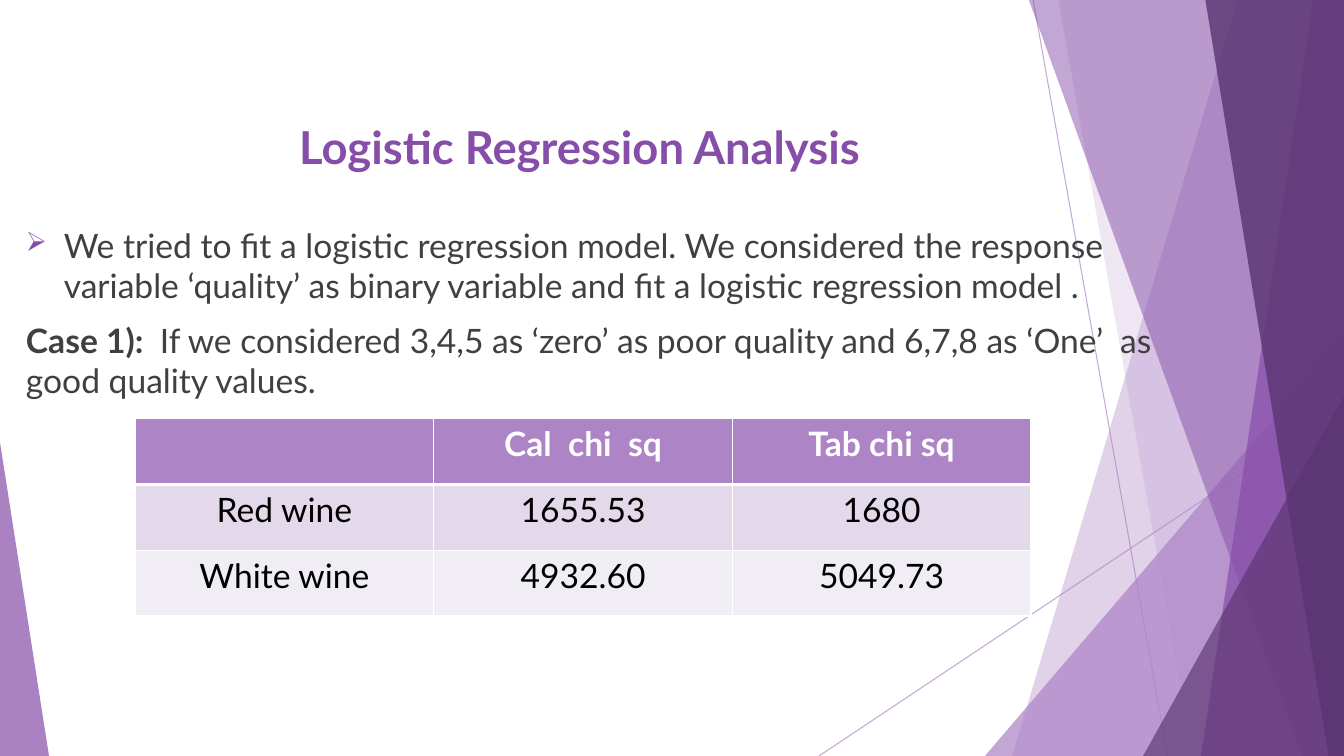
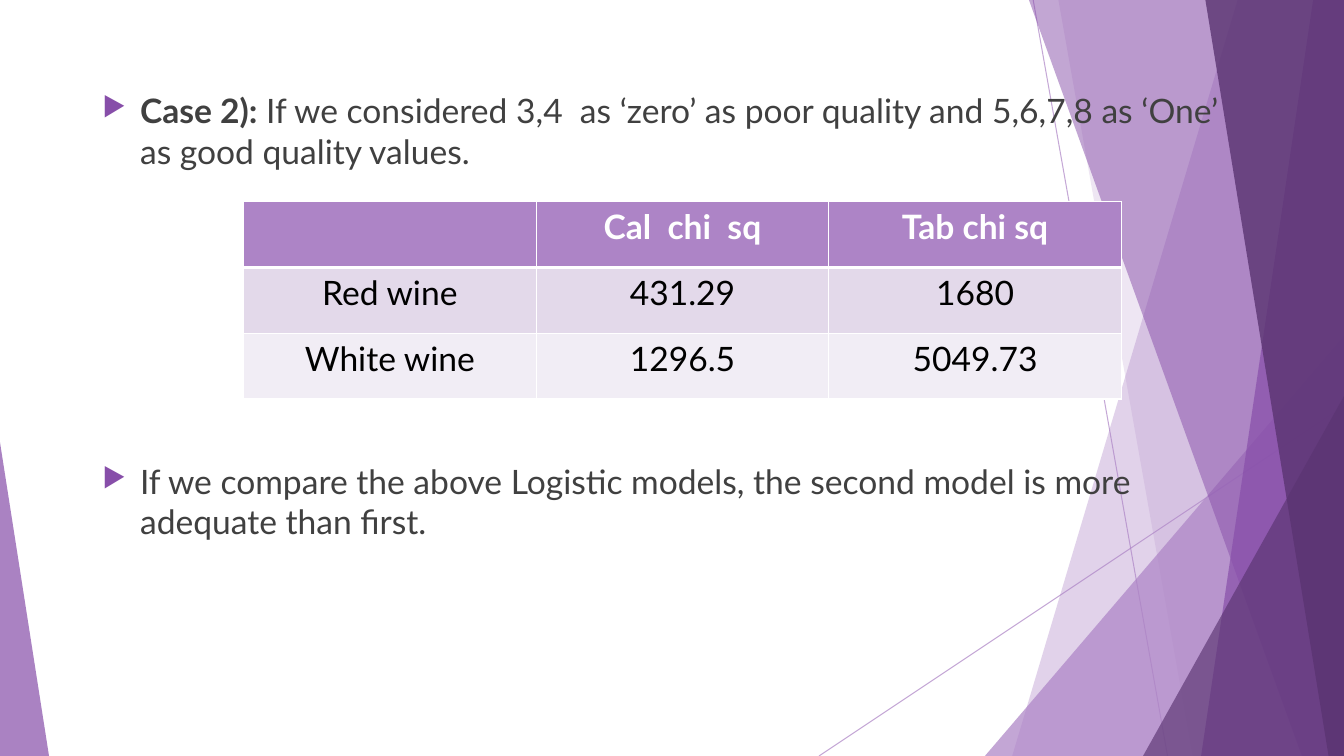
from lxml.etree import SubElement
from pptx import Presentation
from pptx.dml.color import RGBColor
from pptx.enum.shapes import MSO_CONNECTOR, MSO_SHAPE
from pptx.enum.text import PP_ALIGN
from pptx.oxml.ns import qn
from pptx.util import Pt

WIDTH, HEIGHT = 960, 540
FONT = "Lato"
BODY_SIZE = 24
ROW_HEIGHT = 47

WHITE = RGBColor(0xFF, 0xFF, 0xFF)
BLACK = RGBColor(0x00, 0x00, 0x00)
GRAY = RGBColor(0x40, 0x40, 0x40)
LILAC = RGBColor(0xAD, 0x84, 0xC6)
PURPLE = RGBColor(0x87, 0x4E, 0xA9)
PLUM = RGBColor(0x5A, 0x34, 0x71)
ROW_FILLS = (LILAC, RGBColor(0xE3, 0xD9, 0xEA), RGBColor(0xF1, 0xED, 0xF5))


def set_opacity(shape, percent):
    for color in shape._element.spPr.iter(qn("a:srgbClr")):
        SubElement(color, qn("a:alpha"), val=str(percent * 1000))


def tint(shape, color, opacity):
    """Give a decoration a translucent fill, with no outline or shadow."""
    shape.shadow.inherit = False
    shape.fill.solid()
    shape.fill.fore_color.rgb = color
    shape.line.fill.background()
    set_opacity(shape, opacity)


def add_ray(slide, x1, y1, x2, y2):
    ray = slide.shapes.add_connector(
        MSO_CONNECTOR.STRAIGHT, Pt(x1), Pt(y1), Pt(x2), Pt(y2))
    ray.line.color.rgb = LILAC
    ray.line.width = Pt(0.75)
    set_opacity(ray, 70)
    SubElement(ray._element.spPr, qn("a:effectLst"))


def add_band(slide, top_x, bottom_x, color, opacity):
    """Fill everything from a slanted edge to the right side of the slide."""
    outline = slide.shapes.build_freeform(Pt(top_x), 0)
    outline.add_line_segments([
        (Pt(WIDTH), 0), (Pt(WIDTH), Pt(HEIGHT)), (Pt(bottom_x), Pt(HEIGHT))])
    tint(outline.convert_to_shape(), color, opacity)


def add_corner(slide, left, top, width, apex, color, opacity):
    """Add a right triangle on the bottom edge; apex is 0 (left) or 1 (right)."""
    corner = slide.shapes.add_shape(
        MSO_SHAPE.ISOSCELES_TRIANGLE,
        Pt(left), Pt(top), Pt(width), Pt(HEIGHT - top))
    corner.adjustments[0] = apex
    tint(corner, color, opacity)


def add_backdrop(slide):
    add_ray(slide, 738, 0, 834, HEIGHT)
    add_ray(slide, WIDTH, 290, 585, HEIGHT)
    add_band(slide, 884, 723, LILAC, 36)
    add_band(slide, 756, 852, LILAC, 20)
    add_corner(slide, 703.5, 240, 256.5, 1, LILAC, 72)
    add_band(slide, 735, 930, PURPLE, 50)
    add_band(slide, 938, 858, PURPLE, 70)
    add_band(slide, 861, 949, PLUM, 80)
    add_corner(slide, 816.5, 283, 143.5, 1, PLUM, 66)
    add_corner(slide, 0, 316, 35, 0, PURPLE, 70)


def add_slide(deck):
    slide = deck.slides.add_slide(deck.slide_layouts[6])
    add_backdrop(slide)
    return slide


def style(paragraph, size, color, bold=False):
    paragraph.font.name = FONT
    paragraph.font.size = Pt(size)
    paragraph.font.color.rgb = color
    paragraph.font.bold = bold


def add_text_frame(slide, left, top, width, height):
    frame = slide.shapes.add_textbox(
        Pt(left), Pt(top), Pt(width), Pt(height)).text_frame
    frame.word_wrap = True
    return frame


def add_title(slide, title):
    heading = add_text_frame(slide, 0, 81.5, 828, 47).paragraphs[0]
    heading.text = title
    heading.alignment = PP_ALIGN.CENTER
    style(heading, 32.4, PURPLE, bold=True)


def add_bullet(paragraph, symbol):
    properties = paragraph._p.get_or_add_pPr()
    properties.set("marL", str(Pt(27)))
    properties.set("indent", str(Pt(-27)))
    color = SubElement(properties, qn("a:buClr"))
    SubElement(color, qn("a:srgbClr"), val=str(PURPLE))
    SubElement(properties, qn("a:buSzPct"), val="80000")
    SubElement(properties, qn("a:buChar"), char=symbol)


def write_point(paragraph, text, lead="", bullet=None, space_before=10):
    """Write one body paragraph, opening with an optional bold lead."""
    paragraph.space_before = Pt(space_before)
    if bullet:
        add_bullet(paragraph, bullet)
    style(paragraph, BODY_SIZE, GRAY)
    if lead:
        lead_run = paragraph.add_run()
        lead_run.text = lead
        lead_run.font.bold = True
    paragraph.add_run().text = text


def set_borders(cell, **widths):
    """Draw white cell borders; widths maps L, R, T and B to points."""
    properties = cell._tc.get_or_add_tcPr()
    for side in "LRTB":
        border = SubElement(properties, qn(f"a:ln{side}"),
                            w=str(Pt(widths.get(side, 1))))
        fill = SubElement(border, qn("a:solidFill"))
        SubElement(fill, qn("a:srgbClr"), val=str(WHITE))


def add_chi_square_table(slide, left, top, width, red_wine, white_wine):
    rows = (("", "Cal  chi  sq", "Tab chi sq"),
            ("Red wine", *red_wine),
            ("White wine", *white_wine))
    table = slide.shapes.add_table(
        len(rows), len(rows[0]), Pt(left), Pt(top),
        Pt(width), Pt(ROW_HEIGHT * len(rows))).table
    table.first_row = table.horz_banding = False
    rules = ({"B": 3}, {"T": 3}, {})
    for r, values in enumerate(rows):
        header = r == 0
        for c, value in enumerate(values):
            cell = table.cell(r, c)
            set_borders(cell, **rules[r])
            cell.fill.solid()
            cell.fill.fore_color.rgb = ROW_FILLS[r]
            cell.text = value
            entry = cell.text_frame.paragraphs[0]
            entry.alignment = PP_ALIGN.CENTER
            style(entry, BODY_SIZE, WHITE if header else BLACK, bold=header)


def build_first_case(deck):
    slide = add_slide(deck)
    add_title(slide, "Logistic Regression Analysis")
    body = add_text_frame(slide, 11.5, 157, 828, 312)
    write_point(
        body.paragraphs[0],
        "We tried to fit a logistic regression model. We considered the "
        "response variable ‘quality’ as binary variable and fit a logistic "
        "regression model .",
        bullet="➢")
    write_point(
        body.add_paragraph(),
        "If we considered 3,4,5 as ‘zero’ as poor quality and 6,7,8 as "
        "‘One’  as good quality values.",
        lead="Case 1):  ")
    add_chi_square_table(slide, 96.5, 299, 640,
                         ("1655.53", "1680"), ("4932.60", "5049.73"))


def build_second_case(deck):
    slide = add_slide(deck)
    body = add_text_frame(slide, 66, 61, 828, 425)
    write_point(
        body.paragraphs[0],
        " If we considered 3,4  as ‘zero’ as poor quality and 5,6,7,8 as "
        "‘One’ as good quality values.",
        lead="Case 2):", bullet="▶")
    write_point(
        body.add_paragraph(),
        "If we compare the above Logistic models, the second model is more "
        "adequate than first.",
        bullet="▶", space_before=207)
    add_chi_square_table(slide, 174, 144, 627,
                         ("431.29", "1680"), ("1296.5", "5049.73"))


def main():
    deck = Presentation()
    deck.slide_width, deck.slide_height = Pt(WIDTH), Pt(HEIGHT)
    build_first_case(deck)
    build_second_case(deck)
    deck.save("out.pptx")


if __name__ == "__main__":
    main()
